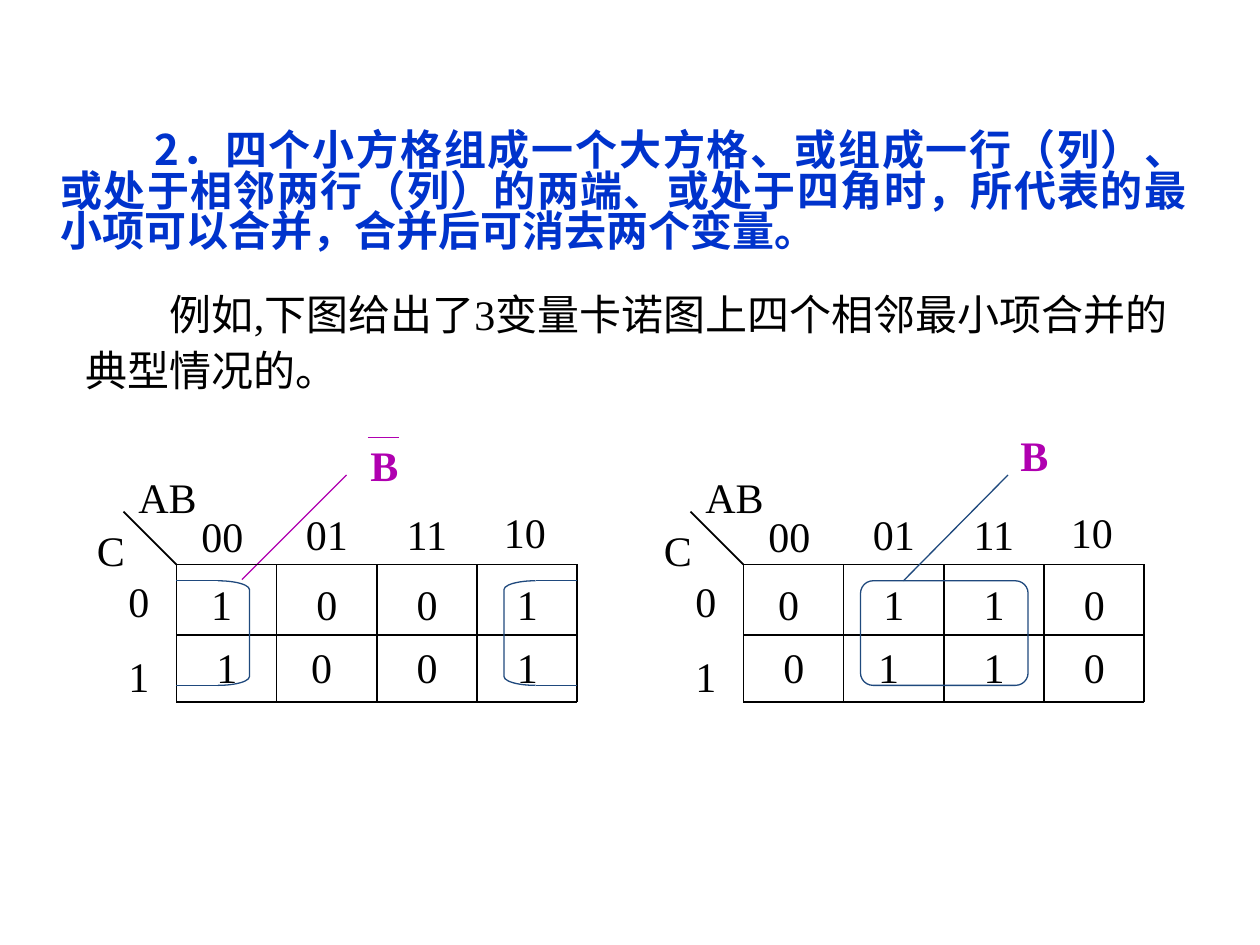
from lxml import etree
from pptx import Presentation
from pptx.dml.color import RGBColor
from pptx.enum import shapes, text
from pptx.oxml.ns import qn
from pptx.util import Inches, Pt

LATIN, CJK = "Times New Roman", "Noto Sans CJK SC"
BLACK, BLUE, PURPLE, NAVY = "000000", "0033CC", "B000B0", "1F497D"
ALIGN = text.PP_ALIGN
COLUMN = 0.795
GRID_TOP, GRID_MIDDLE, GRID_BOTTOM = 4.48, 5.04, 5.57
LOOP_TOP, LOOP_BOTTOM = 4.61, 5.44


def color(value):
    return RGBColor.from_string(value)


def add_text(parent, content, left, top, width, height=0.5, *, fill=BLACK,
             font=LATIN, bold=False, align=ALIGN.LEFT, before=0, spacing=None,
             indent=0, wrap=True, grow=True):
    """Add a text box with one paragraph per line; indent the first line."""
    box = parent.add_textbox(Inches(left), Inches(top), Inches(width), Inches(height))
    frame = box.text_frame
    frame.word_wrap = wrap
    frame.auto_size = (text.MSO_AUTO_SIZE.SHAPE_TO_FIT_TEXT if grow
                       else text.MSO_AUTO_SIZE.NONE)
    for index, line in enumerate(content.split("\n")):
        paragraph = frame.add_paragraph() if index else frame.paragraphs[0]
        paragraph.alignment = align
        paragraph.space_before = Pt(before)
        if spacing:
            paragraph.line_spacing = spacing
        if indent and index == 0:
            paragraph._p.get_or_add_pPr().set("indent", str(Inches(indent)))
        run = paragraph.add_run()
        run.text = line
        run.font.size = Pt(24)
        run.font.name = font
        run.font.bold = bold
        run.font.color.rgb = color(fill)
        east_asian = etree.Element(qn("a:ea"), typeface=CJK)
        run.font._element.find(qn("a:latin")).addnext(east_asian)


def add_line(parent, x1, y1, x2, y2, stroke=BLACK, weight=1):
    line = parent.add_connector(shapes.MSO_CONNECTOR.STRAIGHT, Inches(x1),
                                Inches(y1), Inches(x2), Inches(y2))
    line.line.color.rgb = color(stroke)
    line.line.width = Pt(weight)
    etree.SubElement(line._element.spPr, qn("a:effectLst"))


def add_loop(parent, kind, left, width, corner):
    """Outline a group of adjacent cells, or one open end of it."""
    loop = parent.add_shape(kind, Inches(left), Inches(LOOP_TOP), Inches(width),
                            Inches(LOOP_BOTTOM - LOOP_TOP))
    loop.adjustments[0] = corner
    loop.shadow.inherit = False
    loop.fill.background()
    loop.line.color.rgb = color(NAVY)
    loop.line.width = Pt(0.75)


def add_karnaugh_map(parent, left, rows):
    right = left + 4 * COLUMN
    for values, top in zip(rows, (4.54, 5.04)):
        for column, value in enumerate(values):
            add_text(parent, value, left + column * COLUMN, top, 0.8, 0.57,
                     align=ALIGN.CENTER, grow=False)
    for y in (GRID_TOP, GRID_MIDDLE, GRID_BOTTOM):
        add_line(parent, left, y, right, y)
    for column in range(5):
        x = left + column * COLUMN
        add_line(parent, x, GRID_TOP, x, GRID_BOTTOM)
    add_line(parent, left - 0.42, 4.06, left, GRID_TOP)

    column_labels = (("00", 0.1, 4), ("01", 0.93, 3.99),
                     ("11", 1.73, 3.99), ("10", 2.5, 3.97))
    for label, offset, top in column_labels:
        add_text(parent, label, left + offset, top, 0.53, before=15, wrap=False)
    add_text(parent, "AB", left - 0.4, 3.69, 0.66, before=15, wrap=False)
    for label, offset, top in (("C", -0.73, 4.11), ("0", -0.48, 4.52),
                               ("1", -0.48, 5.11)):
        add_text(parent, label, left + offset, top, 0.67, before=15)


def add_result(parent, left, top):
    add_text(parent, "B", left, top, 0.42, fill=PURPLE, bold=True,
             align=ALIGN.CENTER, wrap=False)


def add_not_b_example(parent):
    left, right = 1.4, 4.58
    add_line(parent, 1.92, 4.6, 2.75, 3.77, PURPLE, 0.75)
    add_result(parent, 2.84, 3.44)
    add_line(parent, 2.92, 3.47, 3.17, 3.47, PURPLE, 0.75)
    add_karnaugh_map(parent, left, (("1 ", "0", "0", "1"), ("1", "0 ", "0", "1")))
    add_loop(parent, shapes.MSO_SHAPE.RIGHT_BRACKET, 1.73, 0.25, 0.28)
    add_loop(parent, shapes.MSO_SHAPE.LEFT_BRACKET, 4, 0.25, 0.28)
    for y in (LOOP_TOP, LOOP_BOTTOM):
        add_line(parent, left, y, 1.73, y, NAVY, 0.75)
        add_line(parent, 4.25, y, right, y, NAVY, 0.75)


def add_b_example(parent):
    add_karnaugh_map(parent, 5.9, (("0 ", "1", "1", "0"), ("0", "1 ", "1", "0")))
    add_loop(parent, shapes.MSO_SHAPE.ROUNDED_RECTANGLE, 6.83, 1.33, 0.12)
    add_line(parent, 7.17, 4.61, 8, 3.77, NAVY, 0.75)
    add_result(parent, 8, 3.36)


def main():
    deck = Presentation()
    deck.slide_width, deck.slide_height = Inches(10), Inches(7.5)
    slide = deck.slides.add_slide(deck.slide_layouts[6])

    add_text(slide.shapes,
             "2．四个小方格组成一个大方格、或组成一行（列）、或处于相邻两行（列）的两端、"
             "或处于四角时，所代表的最小项可以合并，合并后可消去两个变量。",
             0.38, 1.01, 9.14, 1.59, fill=BLUE, font=CJK, bold=True,
             align=ALIGN.JUSTIFY, before=15, spacing=0.8, indent=0.75)
    add_text(slide.shapes,
             "例如,下图给出了3变量卡诺图上四个相邻最小项合并的\n典型情况的。",
             0.58, 2.38, 9.14, 0.79, align=ALIGN.JUSTIFY, before=15,
             spacing=0.6, indent=0.67)
    add_b_example(slide.shapes.add_group_shape().shapes)
    add_not_b_example(slide.shapes.add_group_shape().shapes)
    deck.save("out.pptx")


if __name__ == "__main__":
    main()
